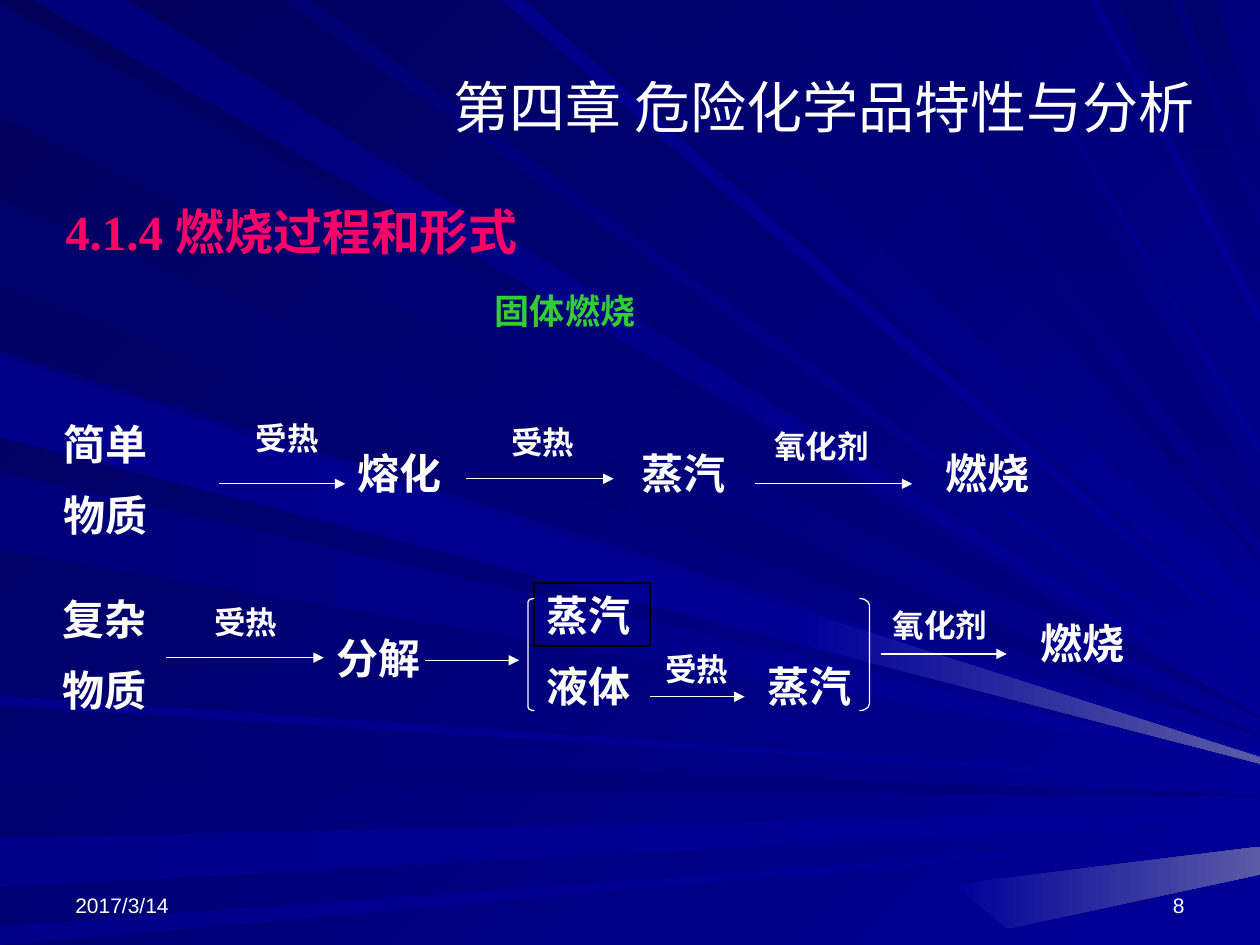
from lxml import etree
from pptx import Presentation
from pptx import util as u
from pptx.dml.color import RGBColor
from pptx.enum import shapes, text
from pptx.oxml import ns

COLORS = {
    "white": "FFFFFF", "black": "000000", "pink": "FF0066", "green": "33CC33",
    "night": "000058", "deep": "00006B", "dusk": "000073", "navy": "00007B",
    "blue": "000080", "royal": "00008A", "bright": "000099", "haze": "5A5AA6",
}
LEFT, CENTER, RIGHT = text.PP_ALIGN.LEFT, text.PP_ALIGN.CENTER, text.PP_ALIGN.RIGHT
WIDTH, HEIGHT = 10, 7.5

LEFT_RAYS = [
    ("deep", "blue", 0.02, 0.93, 5.69, 5.7),
    ("dusk", "blue", 5.96, 6.23, 6.31, 6.32),
    ("royal", "bright", 6.65, 7.04, 6.43, 6.51),
    ("royal", "bright", 7.35, 7.5, 6.62, 6.63),
    ("deep", "blue", 1.59, 2.28, 5.84, 5.85),
    ("navy", "bright", 2.78, 3.42, 5.96, 6.02),
    ("navy", "bright", 3.74, 4.37, 6.05, 6.06),
    ("royal", "bright", 5.52, 5.6, 6.21, 6.23),
    ("royal", "bright", 2.83, 3.47, 6.01, 6.06),
]
TOP_RAYS = [
    ("navy", "bright", 1.01, 0.26, 5.62, 5.63),
    ("royal", "bright", 4.16, 3.98, 5.15, 5.21),
    ("deep", "bright", 4.92, 4.26, 4.79, 5.07),
    ("dusk", "blue", 6.61, 6.06, 4.45, 4.46),
    ("deep", "blue", 9.3, 8.87, 1.83, 2.37),
    ("deep", "blue", 9.64, 9.39, 1.14, 1.67),
    ("dusk", "bright", 2.47, 2.25, 5.47, 5.52),
    ("dusk", "blue", 7.7, 6.86, 3.9, 4.28),
    ("navy", "bright", 7.92, 7.85, 3.54, 3.6),
    ("royal", "bright", 8.72, 8.65, 2.49, 2.58),
]


def inch(value):
    """Turn a length on the inch grid into centimetres."""
    return u.Cm(value * 2.54)


def color(name):
    """Look up a named colour."""
    return RGBColor.from_string(COLORS[name])


def apply(target, values):
    """Set every attribute listed in a dict of format values."""
    for name, value in values.items():
        setattr(target, name, value)


def place(box, left, top, *sizes):
    """Shift a position by a region's corner and convert the lengths."""
    return [inch(v) for v in (box[0] + left, box[1] + top, *sizes)]


def paint(fill, start, end, angle):
    """Fill with a two-tone linear gradient, its angle counted clockwise."""
    fill.gradient()
    fill.gradient_angle = 360 - angle
    for stop, tone in zip(fill.gradient_stops, (start, end)):
        stop.color.rgb = color(tone)


def write(shape, lines, size=24, bold=True, tone="white", font="Times New Roman",
          align=LEFT, anchor=text.MSO_ANCHOR.TOP, spacing=None):
    """Write paragraphs into a shape with one shared format."""
    frame = shape.text_frame
    apply(frame, {"text": lines, "word_wrap": True, "vertical_anchor": anchor})
    for index, paragraph in enumerate(frame.paragraphs):
        apply(paragraph, {"alignment": align, "line_spacing": spacing,
                          "space_before": u.Pt(size / 2 if index else 0)})
        for run in paragraph.runs:
            apply(run.font, {"size": u.Pt(size), "bold": bold, "name": font})
            run.font.color.rgb = color(tone)


def label(slide, box, left, top, lines, width=1, height=0.5, **style):
    """Add a text box inside a region."""
    shape = slide.shapes.add_textbox(*place(box, left, top, width, height))
    write(shape, lines, **style)
    return shape


def arrow(slide, box, left, top, length):
    """Add a horizontal arrow inside a region."""
    line = slide.shapes.add_connector(
        shapes.MSO_CONNECTOR.STRAIGHT,
        *place(box, left, top), *place(box, left + length, top))
    line.line.width = u.Pt(0.75)
    line.line.color.rgb = color("white")
    etree.SubElement(line.line._get_or_add_ln(), ns.qn("a:tailEnd"), type="triangle")
    etree.SubElement(line._element.spPr, ns.qn("a:effectLst"))
    return line


def outline(slide, box, preset, left, top, width, height, tone="white", weight=0.75):
    """Add an unfilled preset shape inside a region."""
    shape = slide.shapes.add_shape(preset, *place(box, left, top, width, height))
    shape.shadow.inherit = False
    shape.fill.background()
    shape.line.width = u.Pt(weight)
    shape.line.color.rgb = color(tone)
    return shape


def ray(slide, start, end, angle, corners):
    """Draw one beam through its corners."""
    points = [(round(x * 100), round(y * 100)) for x, y in corners]
    builder = slide.shapes.build_freeform(*points[0], scale=inch(0.01))
    builder.add_line_segments(points[1:], close=True)
    beam = builder.convert_to_shape()
    beam.shadow.inherit = False
    beam.line.fill.background()
    paint(beam.fill, start, end, angle)


def backdrop(slide):
    """Paint the dark gradient and the fan of rays reaching the right edge."""
    paint(slide.background.fill, "night", "bright", 45)
    for start, end, upper, lower, right_upper, right_lower in LEFT_RAYS:
        ray(slide, start, end, 0,
            [(0, upper), (WIDTH, right_upper), (WIDTH, right_lower), (0, lower)])
    for start, end, near, far, right_upper, right_lower in TOP_RAYS:
        ray(slide, start, end, 45 if end == "bright" else 90,
            [(near, 0), (WIDTH, right_upper), (WIDTH, right_lower), (far, 0)])
    ray(slide, "bright", "haze", 0, [(6.37, 4.85), (WIDTH, 6.01), (WIDTH, 6.06), (6.33, 5.11)])
    ray(slide, "bright", "haze", 0, [(7.56, 7.02), (WIDTH, 6.72), (WIDTH, 6.94), (8, 7.37)])


def headings(slide, box):
    """Place the chapter title, section heading and topic."""
    title = slide.shapes.title
    slide.shapes._spTree.append(title._element)
    apply(title, dict(zip(("left", "top", "width", "height"), place(box, 3, 0, 6.25, 1.03))))
    write(title, "第四章 危险化学品特性与分析", size=32, bold=False, font="Arial",
          align=CENTER, anchor=text.MSO_ANCHOR.MIDDLE)
    label(slide, box, 0, 1.17, "4.1.4 燃烧过程和形式", 4.67, 0.58,
          size=28, tone="pink", spacing=1.1)
    label(slide, box, 3.41, 1.92, "固体燃烧", 1.33, 0.43, size=20, tone="green")


def chain(slide, box, substance, terms, arrows, conditions):
    """Draw a substance, its stages, the arrows and the conditions above them."""
    label(slide, box, 0, 0, substance, height=1.11)
    stages = [label(slide, box, *term) for term in terms]
    links = [arrow(slide, box, *link) for link in arrows]
    for condition in conditions:
        label(slide, box, *condition, height=0.4, size=18, align=CENTER)
    return stages, links


def simple_substance(slide, box):
    """Draw the chain of a simple solid: melting, vapour, burning."""
    chain(slide, box, "简单\n物质",
          [(2.33, 0.23, "熔化"), (4.58, 0.23, "蒸汽"), (7, 0.23, "燃烧")],
          [(1.33, 0.57, 1), (3.29, 0.53, 1.17), (5.58, 0.57, 1.25)],
          [(1.37, 0.01, "受热"), (3.4, 0.04, "受热"), (5.61, 0.07, "氧化剂")])


def complex_substance(slide, box):
    """Draw the chain of a complex solid: decomposition, bracketed products, burning."""
    stages, links = chain(
        slide, box, "复杂\n物质",
        [(2.17, 0.31, "分解"), (3.84, 0.53, "液体"), (5.59, 0.53, "蒸汽"), (7.76, 0.19, "燃烧")],
        [(0.92, 0.56, 1.25), (2.97, 0.58, 0.75), (4.76, 0.87, 0.75), (6.59, 0.53, 1)],
        [(1.05, 0.08, "受热"), (4.63, 0.45, "受热"), (6.56, 0.1, "氧化剂")])
    links[0].end_connect(stages[0], 1)
    vapour = outline(slide, box, shapes.MSO_SHAPE.RECTANGLE, 3.84, -0.03, 0.92, 0.5, "black", 1.25)
    write(vapour, "蒸汽")
    for preset, left, width, bend in ((shapes.MSO_SHAPE.LEFT_BRACKET, 3.79, 0.05, 0.58),
                                      (shapes.MSO_SHAPE.RIGHT_BRACKET, 6.42, 0.08, 0.67)):
        bracket = outline(slide, box, preset, left, 0.09, width, 0.89)
        bracket.adjustments[0] = bend


def footer(slide, box):
    """Place the date and the page number."""
    for left, words, align in ((0, "2017/3/14", LEFT), (6.67, "8", RIGHT)):
        label(slide, box, left, 0, words, 2.33, size=12, bold=False, font="Arial",
              align=align, anchor=text.MSO_ANCHOR.BOTTOM)


def main():
    """Build and save the slide."""
    deck = Presentation()
    apply(deck, {"slide_width": inch(WIDTH), "slide_height": inch(HEIGHT)})
    slide = deck.slides.add_slide(deck.slide_layouts[5])
    backdrop(slide)
    headings(slide, (0.42, 0.33))
    simple_substance(slide, (0.41, 3.27))
    complex_substance(slide, (0.4, 4.66))
    footer(slide, (0.5, 6.83))
    deck.save("out.pptx")


if __name__ == "__main__":
    main()
